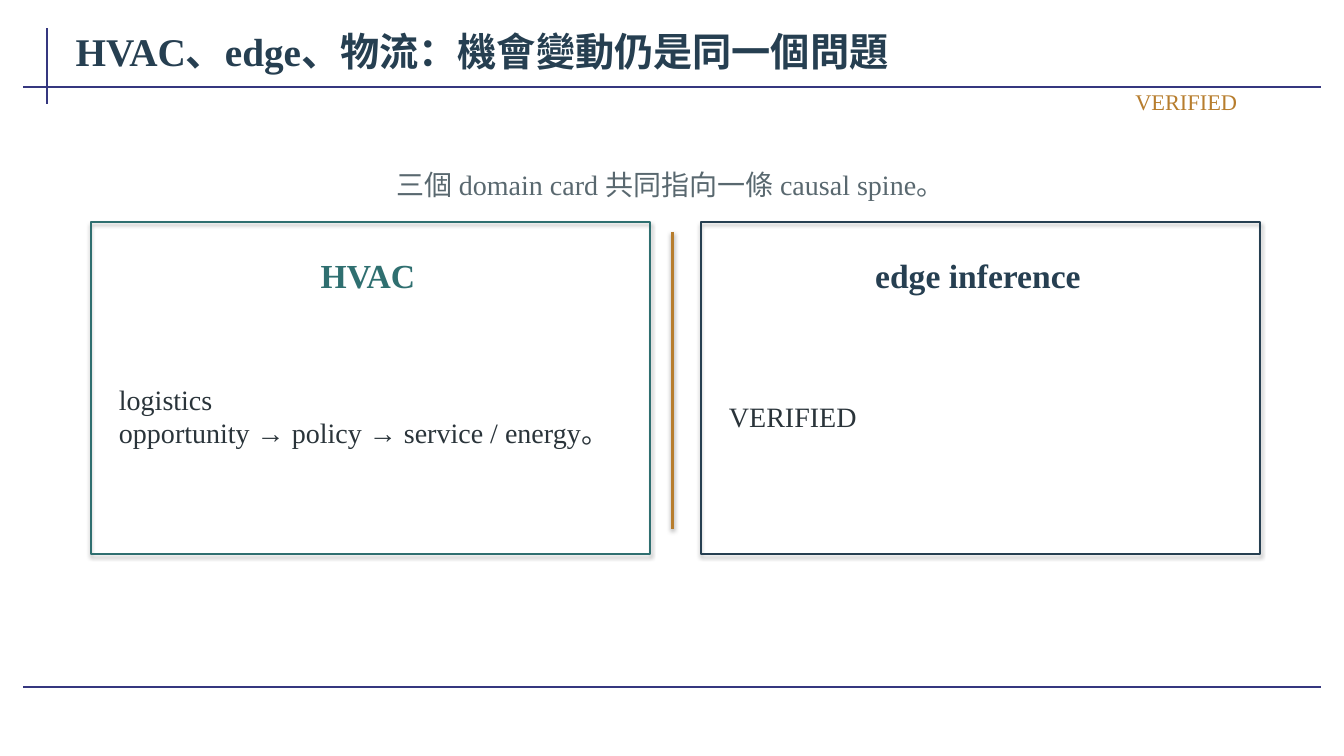
import pptx
import pptx.dml.color
import pptx.enum.shapes
import pptx.enum.text
import pptx.oxml.ns
import pptx.util
from lxml import etree

Inches = pptx.util.Inches
Pt = pptx.util.Pt
ALIGN = pptx.enum.text.PP_ALIGN
FIT = pptx.enum.text.MSO_AUTO_SIZE
HUES = {"rule": "35377F", "navy": "263F51", "teal": "2F6F70",
        "gold": "B77D2D", "gray": "59686F", "ink": "2A343A"}
FRAME = {"word_wrap": True,
         "vertical_anchor": pptx.enum.text.MSO_ANCHOR.MIDDLE,
         "margin_left": Inches(0.08), "margin_right": Inches(0.08),
         "margin_top": Inches(0.04), "margin_bottom": Inches(0.04)}


def paint(hue):
    """Return the named colour."""
    return pptx.dml.color.RGBColor.from_string(HUES[hue])


def apply(item, form):
    """Set each format value on an item."""
    for name, value in form.items():
        setattr(item, name, value)


def write(shape, text, size, hue, align=ALIGN.LEFT, bold=False,
          fit=FIT.SHAPE_TO_FIT_TEXT):
    """Fill a shape with one formatted paragraph."""
    frame = shape.text_frame
    apply(frame, {**FRAME, "auto_size": fit})
    para = frame.paragraphs[0]
    para.text = text
    para.alignment = align
    for run in para.runs:
        apply(run.font, {"name": "Times New Roman", "size": Pt(size), "bold": bold})
        run.font.color.rgb = paint(hue)


def label(slide, box, *args, **form):
    """Add a text box at the given box."""
    shape = slide.shapes.add_textbox(*map(Inches, box))
    write(shape, *args, **form)


def shade(shape, alpha=0, dist=0):
    """Replace the theme shadow with a soft drop shadow, or with none."""
    qn = pptx.oxml.ns.qn
    props = shape._element.spPr
    for old in props.findall(qn("a:effectLst")):
        props.remove(old)
    effects = etree.SubElement(props, qn("a:effectLst"))
    if alpha:
        drop = etree.SubElement(effects, qn("a:outerShdw"), blurRad=str(Pt(3.1)),
                                dist=str(Pt(dist)), dir="5400000", rotWithShape="0")
        tone = etree.SubElement(drop, qn("a:srgbClr"), val="000000")
        etree.SubElement(tone, qn("a:alpha"), val=str(alpha * 1000))


def rule(slide, ends, hue, width, **shadow):
    """Draw a straight line between two points."""
    kind = pptx.enum.shapes.MSO_CONNECTOR.STRAIGHT
    line = slide.shapes.add_connector(kind, *map(Inches, ends))
    line.line.color.rgb = paint(hue)
    line.line.width = Pt(width)
    shade(line, **shadow)


def header(slide, box, text):
    """Draw the page rules and place the title."""
    left, top, width, height = box
    for ends in ((0.47, 0.28, 0.47, 1.03), (0.23, 0.86, 13.1, 0.86),
                 (0.23, 6.82, 13.1, 6.82)):
        rule(slide, ends, "rule", 1.5)
    title = slide.shapes.title
    apply(title, {"left": Inches(left), "top": Inches(top),
                  "width": Inches(width), "height": Inches(height)})
    write(title, text, 28, "navy", bold=True, fit=FIT.NONE)


def card(slide, box, head, body, hue):
    """Draw an outlined card with a heading and a body."""
    left, top, width, height = box
    kind = pptx.enum.shapes.MSO_SHAPE.RECTANGLE
    panel = slide.shapes.add_shape(kind, *map(Inches, box))
    panel.fill.background()
    panel.line.color.rgb = paint(hue)
    panel.line.width = Pt(1.2)
    shade(panel, alpha=35, dist=1.8)
    label(slide, (left + 0.15, top + 0.2, width - 0.35, 0.65), head, 24, hue,
          align=ALIGN.CENTER, bold=True)
    label(slide, (left + 0.2, top + 0.95, width - 0.45, height - 1.35),
          body, 20, "ink")


def pair(slide, box, cards):
    """Place cards side by side with a divider in the gap."""
    left, top, width, height = box
    gap = 0.5
    wide = (width - gap) / 2
    for i, (head, body, hue) in enumerate(cards):
        card(slide, (left + i * (wide + gap), top, wide, height), head, body, hue)
    mid = left + wide + 0.22
    rule(slide, (mid, top + 0.1, mid, top + height - 0.25), "gold", 1.8,
         alpha=38, dist=1.6)


def main():
    """Build and save the slide."""
    deck = pptx.Presentation()
    apply(deck, {"slide_width": Inches(13.33), "slide_height": Inches(7.5)})
    slide = deck.slides.add_slide(deck.slide_layouts.get_by_name("Title Only"))
    header(slide, (0.67, 0.19, 12, 0.63), "HVAC、edge、物流：機會變動仍是同一個問題")
    label(slide, (0.9, 1.55, 11.5, 0.55),
          "三個 domain card 共同指向一條 causal spine。", 20, "gray", align=ALIGN.CENTER)
    pair(slide, (0.9, 2.2, 11.6, 3.3), [
        ("HVAC", "logistics\nopportunity → policy → service / energy。", "teal"),
        ("edge inference", "VERIFIED", "navy")])
    label(slide, (9.15, 0.86, 3.2, 0.3), "VERIFIED", 16, "gold", align=ALIGN.RIGHT)
    deck.save("out.pptx")


if __name__ == "__main__":
    main()
